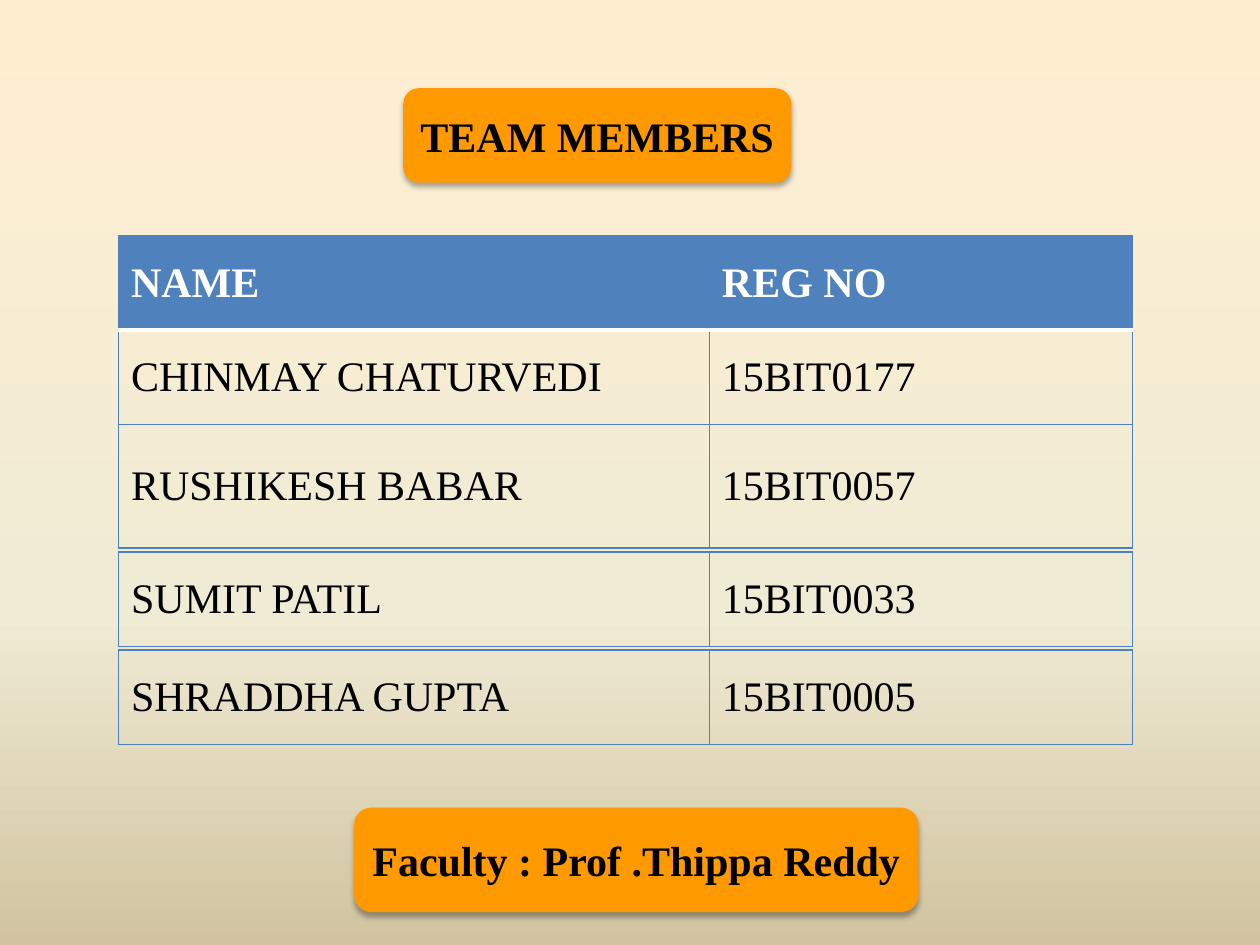
"""Build the team members slide."""
from dataclasses import dataclass

import pptx
import pptx.dml.color
import pptx.enum.shapes
import pptx.enum.text
import pptx.oxml
import pptx.oxml.ns
import pptx.util
from pptx.util import Inches

COLORS = {
    "sky": "FFEFD1",
    "cream": "F0EBD5",
    "sand": "D1C39F",
    "orange": "FF9900",
    "blue": "4F81BD",
    "white": "FFFFFF",
    "black": "000000",
}
FONT = "Times New Roman"
TABLE_LEFT = 0.94
COLUMN_WIDTHS = (4.69, 3.36)
BACKGROUND_STOPS = ((0, "sky"), (65, "cream"), (100, "sand"))


@dataclass(frozen=True)
class Banner:
    text: str
    left: float
    top: float
    width: float
    height: float


@dataclass(frozen=True)
class MemberTable:
    top: float
    row_heights: tuple[float, ...]
    rows: tuple[tuple[str, str], ...]
    has_header: bool = False


BANNERS = (
    Banner("Faculty : Prof .Thippa Reddy", 2.81, 6.41, 4.48, 0.83),
    Banner("TEAM MEMBERS", 3.2, 0.7, 3.08, 0.75),
)
TABLES = (
    MemberTable(
        1.87,
        (0.75, 0.75, 0.98),
        (
            ("NAME", "REG NO"),
            ("CHINMAY CHATURVEDI", "15BIT0177"),
            ("RUSHIKESH BABAR", "15BIT0057"),
        ),
        has_header=True,
    ),
    MemberTable(4.38, (0.75,), (("SUMIT PATIL", "15BIT0033"),)),
    MemberTable(5.16, (0.75,), (("SHRADDHA GUPTA", "15BIT0005"),)),
)


def rgb(name: str) -> pptx.dml.color.RGBColor:
    """Return the named colour."""
    return pptx.dml.color.RGBColor.from_string(COLORS[name])


def xml(markup: str):
    """Parse a DrawingML element whose root lacks its namespace."""
    head, rest = markup.split(" ", 1)
    return pptx.oxml.parse_xml(f"{head} {pptx.oxml.ns.nsdecls('a')} {rest}")


def style_text(frame, color: str, bold: bool) -> None:
    """Format every run in a text frame."""
    for para in frame.paragraphs:
        for span in para.runs:
            span.font.name = FONT
            span.font.size = pptx.util.Pt(24)
            span.font.bold = bold
            span.font.color.rgb = rgb(color)


def paint_background(page) -> None:
    """Fill the page with a vertical three-stop gradient."""
    fill = page.background.fill
    fill.gradient()
    fill.gradient_angle = 270
    stops = page.element.find(".//" + pptx.oxml.ns.qn("a:gsLst"))
    stops.clear()
    for position, color in BACKGROUND_STOPS:
        stops.append(xml(
            f'<a:gs pos="{position * 1000}">'
            f'<a:srgbClr val="{COLORS[color]}"/></a:gs>'
        ))


def draw_banner(page, banner: Banner) -> None:
    """Draw a rounded orange banner with a soft shadow."""
    box = page.shapes.add_shape(
        pptx.enum.shapes.MSO_SHAPE.ROUNDED_RECTANGLE,
        Inches(banner.left), Inches(banner.top),
        Inches(banner.width), Inches(banner.height),
    )
    box.fill.solid()
    box.fill.fore_color.rgb = rgb("orange")
    box.line.fill.background()
    box.shadow.inherit = False
    effects = box.element.spPr.find(pptx.oxml.ns.qn("a:effectLst"))
    effects.append(xml(
        f'<a:outerShdw blurRad="{pptx.util.Pt(3.5)}" dist="{pptx.util.Pt(2.2)}" '
        f'dir="5400000" rotWithShape="0"><a:srgbClr val="{COLORS["black"]}">'
        '<a:alpha val="32000"/></a:srgbClr></a:outerShdw>'
    ))
    frame = box.text_frame
    frame.text = banner.text
    frame.word_wrap = True
    frame.vertical_anchor = pptx.enum.text.MSO_ANCHOR.MIDDLE
    frame.paragraphs[0].alignment = pptx.enum.text.PP_ALIGN.CENTER
    style_text(frame, "black", True)


def set_borders(cell, thick_side: str | None) -> None:
    """Give a cell thin blue borders and one optional thick white side."""
    properties = cell._tc.get_or_add_tcPr()
    for index, side in enumerate("LRTB"):
        color, width = ("white", 3) if side == thick_side else ("blue", 1)
        properties.insert(index, xml(
            f'<a:ln{side} w="{pptx.util.Pt(width)}"><a:solidFill>'
            f'<a:srgbClr val="{COLORS[color]}"/></a:solidFill></a:ln{side}>'
        ))


def draw_table(page, spec: MemberTable) -> None:
    """Draw one table of names and registration numbers."""
    table = page.shapes.add_table(
        len(spec.rows), len(COLUMN_WIDTHS),
        Inches(TABLE_LEFT), Inches(spec.top),
        Inches(sum(COLUMN_WIDTHS)), Inches(sum(spec.row_heights)),
    ).table
    table.first_row = spec.has_header
    table.horz_banding = False
    for column, width in zip(table.columns, COLUMN_WIDTHS):
        column.width = Inches(width)
    for row_index, height in enumerate(spec.row_heights):
        table.rows[row_index].height = Inches(height)
        is_header = spec.has_header and row_index == 0
        thick_side = {0: "B", 1: "T"}.get(row_index) if spec.has_header else None
        for column_index, text in enumerate(spec.rows[row_index]):
            cell = table.cell(row_index, column_index)
            cell.text_frame.text = text
            cell.vertical_anchor = pptx.enum.text.MSO_ANCHOR.MIDDLE
            style_text(cell.text_frame, "white" if is_header else "black", is_header)
            if is_header:
                cell.fill.solid()
                cell.fill.fore_color.rgb = rgb("blue")
            else:
                cell.fill.background()
            set_borders(cell, thick_side)


def main() -> None:
    """Assemble and save the deck."""
    deck = pptx.Presentation()
    deck.slide_width = Inches(10)
    deck.slide_height = Inches(7.5)
    page = deck.slides.add_slide(deck.slide_layouts[6])
    paint_background(page)
    main_table, *extra_tables = TABLES
    draw_table(page, main_table)
    for banner in BANNERS:
        draw_banner(page, banner)
    for spec in extra_tables:
        draw_table(page, spec)
    deck.save("out.pptx")


if __name__ == "__main__":
    main()
